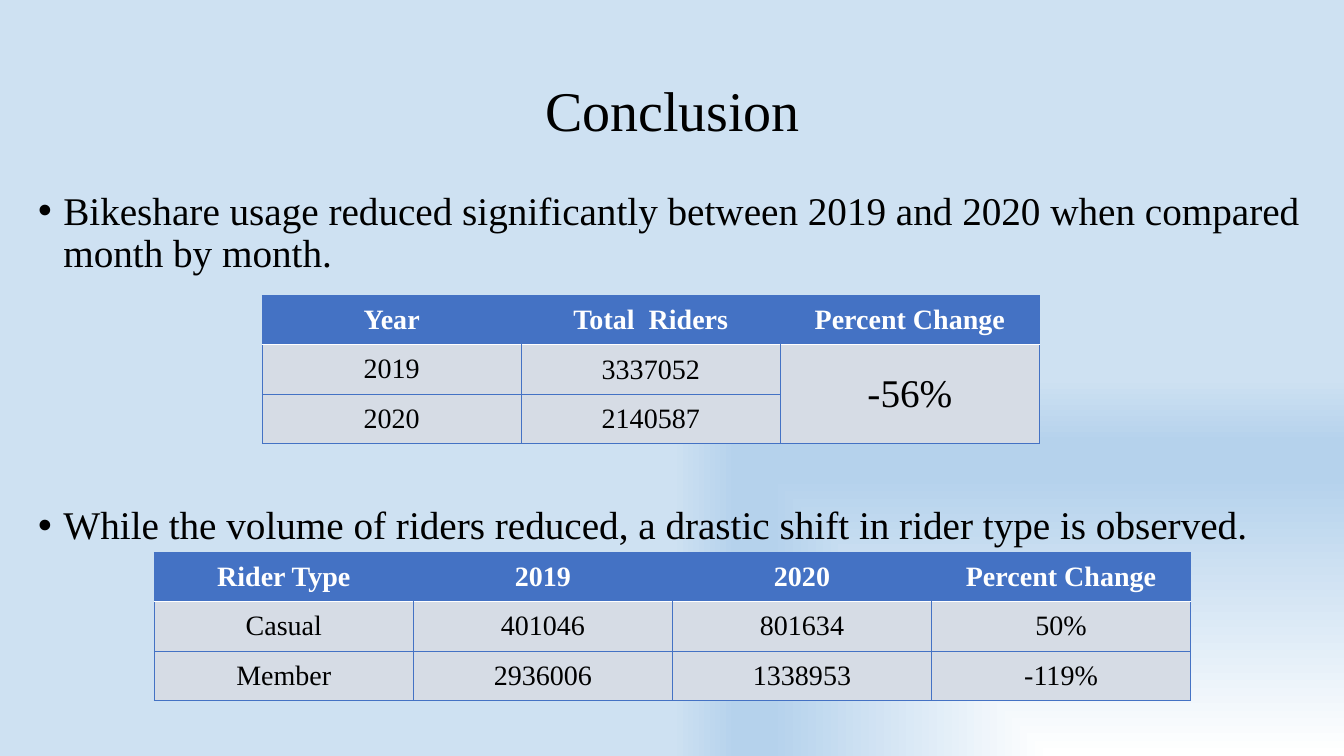
import pptx
import pptx.dml.color
import pptx.enum.text
import pptx.oxml
import pptx.oxml.ns
import pptx.util
from lxml import etree

Inches = pptx.util.Inches
Pt = pptx.util.Pt
RGBColor = pptx.dml.color.RGBColor
ALIGN = pptx.enum.text.PP_ALIGN
ANCHOR = pptx.enum.text.MSO_ANCHOR
qn = pptx.oxml.ns.qn

FONT = "Times New Roman"
BLACK = RGBColor(0x00, 0x00, 0x00)
WHITE = RGBColor(0xFF, 0xFF, 0xFF)
BLUE = RGBColor(0x44, 0x72, 0xC4)
GREY = RGBColor(0xD6, 0xDC, 0xE5)
SKY = RGBColor(0xB5, 0xD2, 0xEC)
PALE = RGBColor(0xCE, 0xE1, 0xF2)

STOPS = [(0, WHITE), (74, SKY), (83, SKY), (100, PALE)]
TITLE = "Conclusion"
POINTS = [
    ("Bikeshare usage reduced significantly between 2019 and 2020 "
     "when compared month by month.", 0),
    ("While the volume of riders reduced, a drastic shift in rider type is observed.", 164),
]
TOTALS = [
    ("Year", "Total  Riders", "Percent Change"),
    ("2019", "3337052", "-56%"),
    ("2020", "2140587", ""),
]
TYPES = [
    ("Rider Type", "2019", "2020", "Percent Change"),
    ("Casual", "401046", "801634", "50%"),
    ("Member", "2936006", "1338953", "-119%"),
]
COL, ROW = 2.57, 0.49


def write(para, text, size, color=BLACK, bold=False):
    run = para.add_run()
    run.text = text
    font = run.font
    font.name, font.size, font.bold = FONT, Pt(size), bold
    font.color.rgb = color


def add_box(slide, left, top, width, height, anchor):
    frame = slide.shapes.add_textbox(
        Inches(left), Inches(top), Inches(width), Inches(height)).text_frame
    frame.word_wrap = True
    frame.vertical_anchor = anchor
    return frame


def add_edge(cell, side, color, width):
    props = cell._tc.get_or_add_tcPr()
    line = etree.SubElement(props, qn("a:ln" + side), w=str(Pt(width)))
    if color is None:
        etree.SubElement(line, qn("a:noFill"))
    else:
        fill = etree.SubElement(line, qn("a:solidFill"))
        etree.SubElement(fill, qn("a:srgbClr"), val=str(color))


def add_grid(slide, rows, left, top):
    count = len(rows[0])
    table = slide.shapes.add_table(
        len(rows), count, Inches(left), Inches(top),
        Inches(COL * count), Inches(ROW * len(rows))).table
    for row in table.rows:
        row.height = Inches(ROW)
    for col in table.columns:
        col.width = Inches(COL)
    for r, texts in enumerate(rows):
        head = r == 0
        for c, text in enumerate(texts):
            cell = table.cell(r, c)
            cell.vertical_anchor = ANCHOR.MIDDLE
            add_edge(cell, "L", None if head and c > 0 else BLUE, 0.5)
            add_edge(cell, "R", None if head and c < count - 1 else BLUE, 0.5)
            if r == 1:
                add_edge(cell, "T", WHITE, 1)
            else:
                add_edge(cell, "T", BLUE, 0.5)
            add_edge(cell, "B", WHITE if head else BLUE, 1 if head else 0.5)
            cell.fill.solid()
            cell.fill.fore_color.rgb = BLUE if head else GREY
            if text:
                para = cell.text_frame.paragraphs[0]
                para.alignment = ALIGN.CENTER
                write(para, text, 20, WHITE if head else BLACK, head)
    return table


def paint_back(slide):
    fill = slide.background.fill
    fill.gradient()
    grad = slide._element.find(".//" + qn("a:gradFill"))
    for child in list(grad):
        grad.remove(child)
    stops = etree.SubElement(grad, qn("a:gsLst"))
    for pos, color in STOPS:
        stop = etree.SubElement(stops, qn("a:gs"), pos=str(pos * 1000))
        etree.SubElement(stop, qn("a:srgbClr"), val=str(color))
    shade = etree.SubElement(grad, qn("a:path"), {"path": "rect"})
    etree.SubElement(shade, qn("a:fillToRect"), l="100000", t="100000")


def main():
    deck = pptx.Presentation()
    deck.slide_width, deck.slide_height = Inches(13.33), Inches(7.5)
    slide = deck.slides.add_slide(deck.slide_layouts[6])
    paint_back(slide)

    title = add_box(slide, 0.92, 0.4, 11.5, 1.45, ANCHOR.MIDDLE).paragraphs[0]
    title.alignment, title.line_spacing = ALIGN.CENTER, 0.9
    write(title, TITLE, 40)

    body = add_box(slide, 0.28, 1.85, 12.78, 5.43, ANCHOR.TOP)
    for i, (text, gap) in enumerate(POINTS):
        para = body.add_paragraph() if i else body.paragraphs[0]
        para.line_spacing = 0.9
        if gap:
            para.space_before = Pt(gap)
        props = para._p.get_or_add_pPr()
        props.set("marL", str(Inches(0.25)))
        props.set("indent", str(Inches(-0.25)))
        etree.SubElement(props, qn("a:buFont"), typeface="Arial")
        etree.SubElement(props, qn("a:buChar"), char="•")
        write(para, text, 28)

    add_grid(slide, TYPES, 1.53, 5.48)
    totals = add_grid(slide, TOTALS, 2.6, 2.93)
    change = totals.cell(1, 2)
    change.merge(totals.cell(2, 2))
    change.text_frame.paragraphs[0].runs[0].font.size = Pt(28)
    for r in (1, 2):
        cell = totals.cell(r, 1)
        cell.margin_left = cell.margin_right = cell.margin_top = Inches(0.01)
        cell.margin_bottom = 0

    deck.save("out.pptx")


if __name__ == "__main__":
    main()
